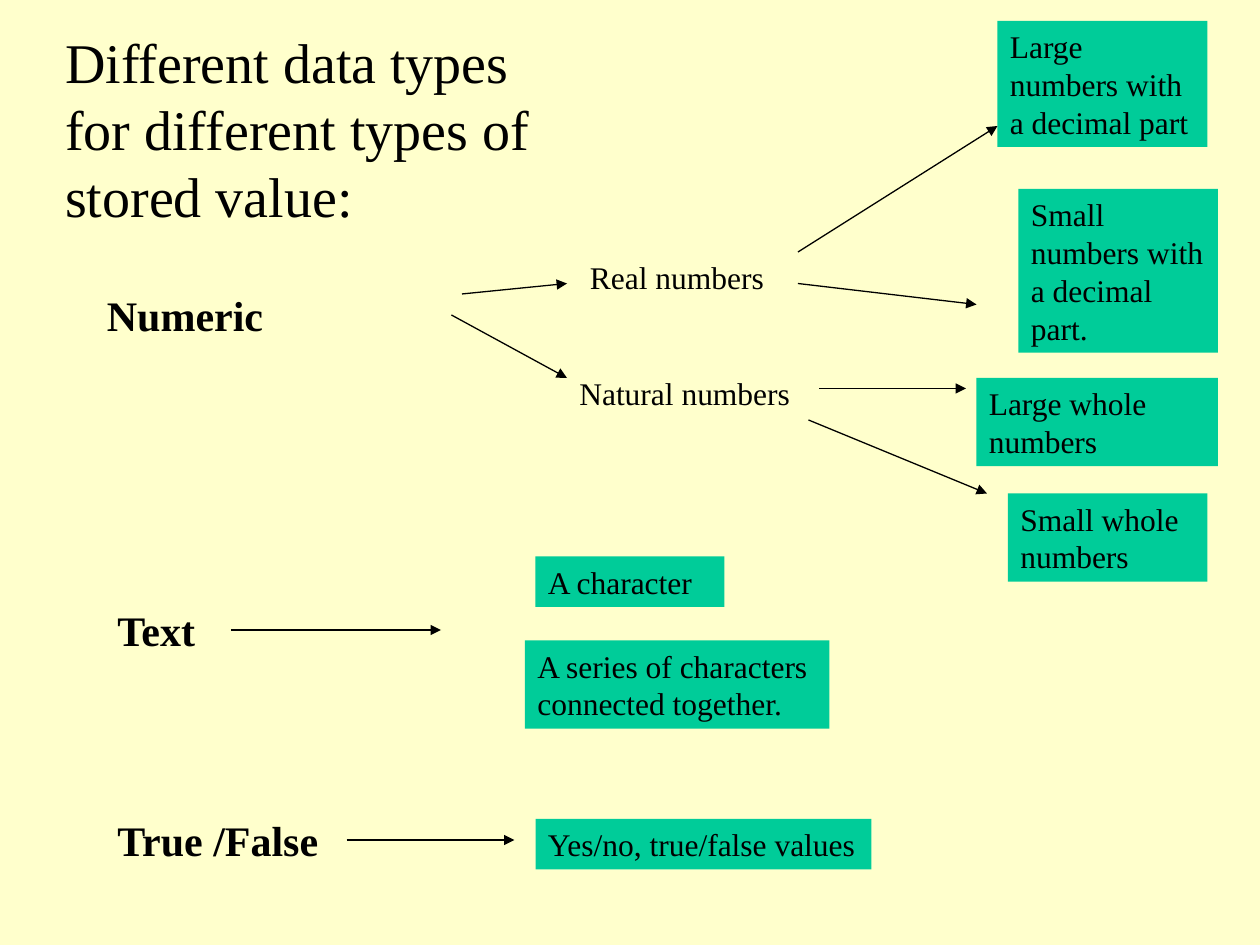
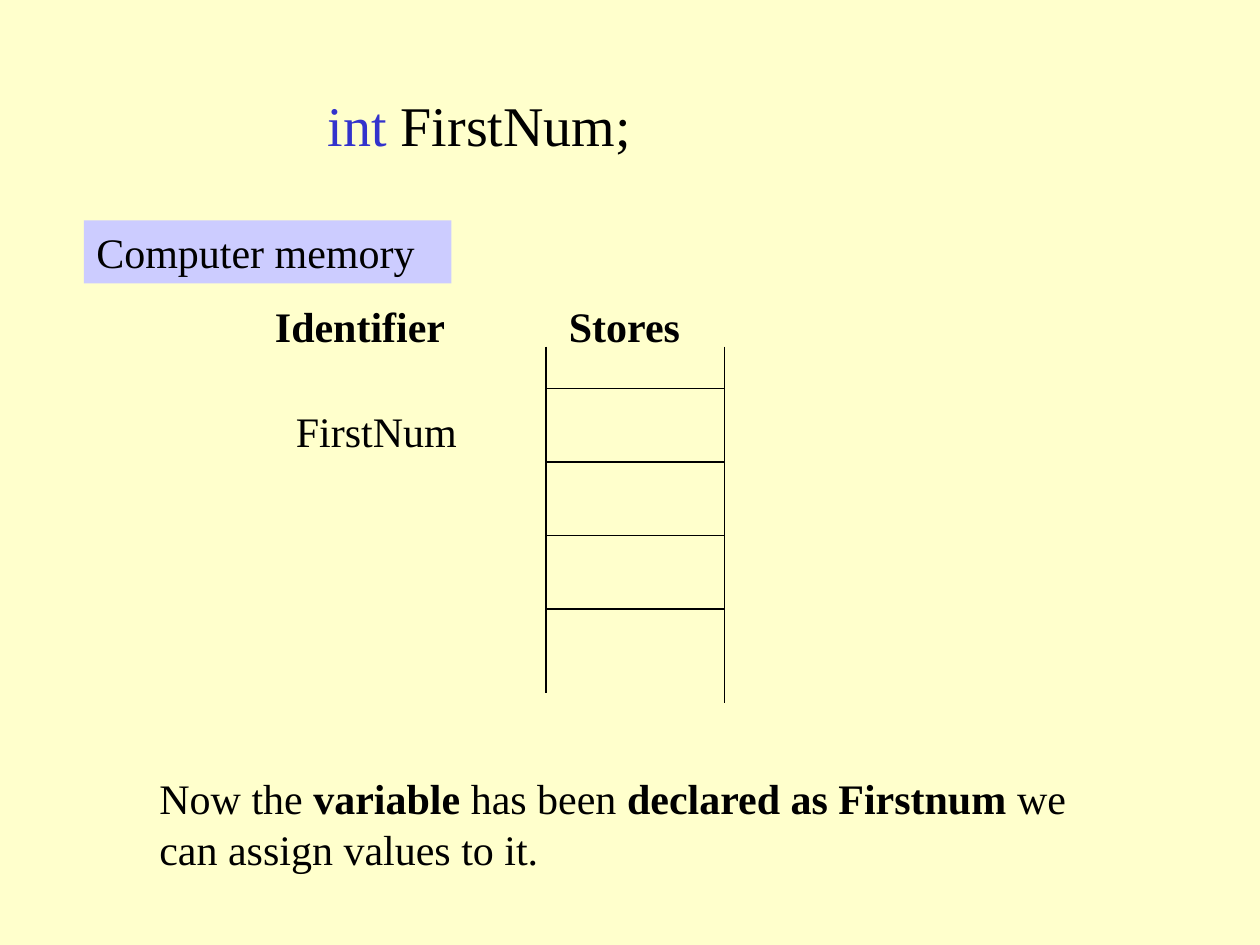
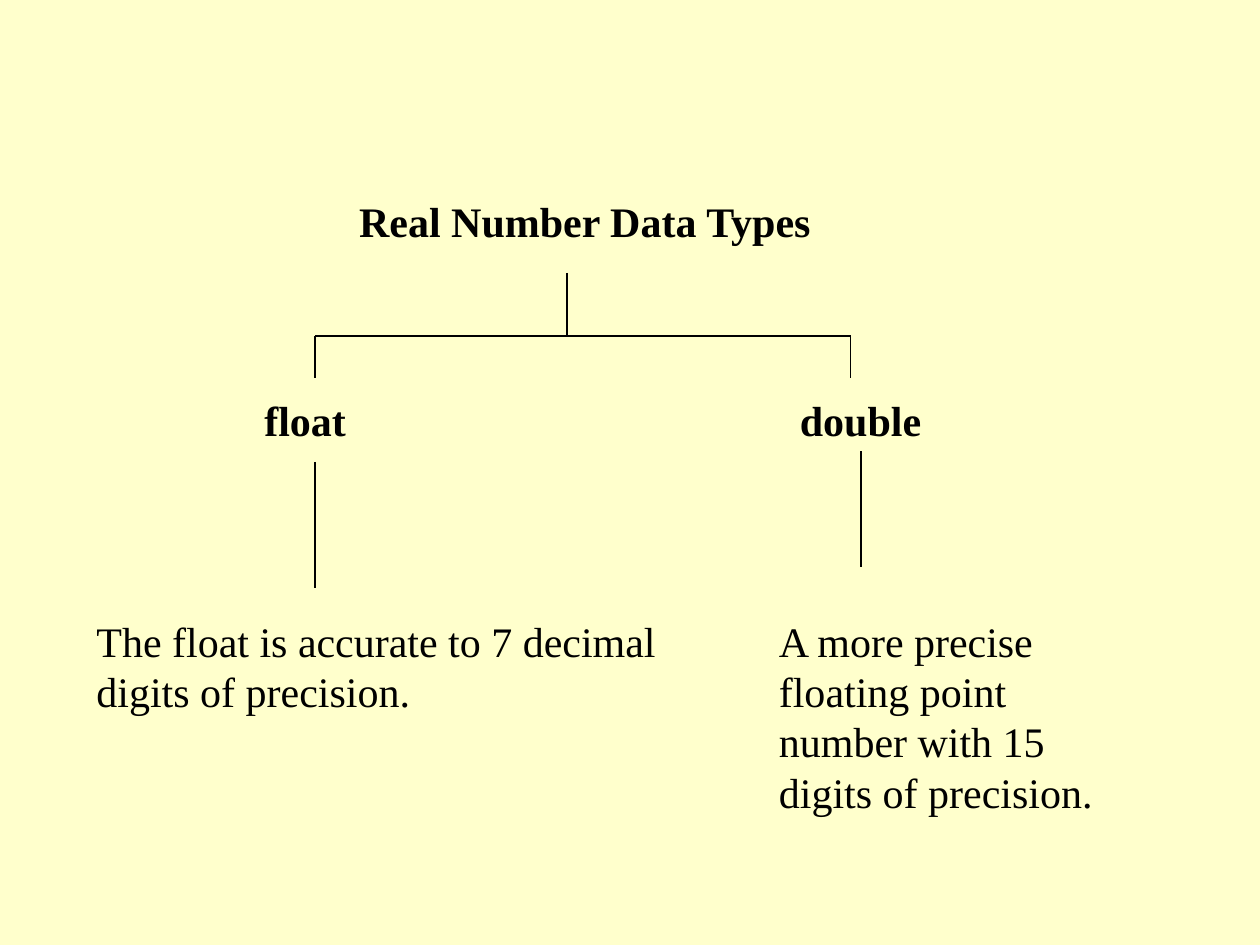
from lxml import etree
from pptx import Presentation
from pptx.dml.color import RGBColor
from pptx.enum.shapes import MSO_CONNECTOR, MSO_SHAPE
from pptx.enum.text import MSO_ANCHOR, MSO_AUTO_SIZE, PP_ALIGN
from pptx.oxml.ns import qn
from pptx.util import Emu, Pt

STRAIGHT = MSO_CONNECTOR.STRAIGHT
RECTANGLE = MSO_SHAPE.RECTANGLE
LEFT = PP_ALIGN.LEFT
TOP = MSO_ANCHOR.TOP
GROW = MSO_AUTO_SIZE.SHAPE_TO_FIT_TEXT

EMU_PER_PX = 7620  # 120 px to the inch
SLIDE_W, SLIDE_H = 1200, 900
TITLE_ONLY = 5

FONT = "Times New Roman"
TITLE_SIZE, BODY_SIZE, SMALL_SIZE = 32, 24, 18
CREAM, BLACK, GREEN = "FFFFCC", "000000", "00CC99"
LILAC, KEYWORD_BLUE = "CCCCFF", "3333CC"


def px(n):
    return Emu(n * EMU_PER_PX)


def rgb(hex_code):
    return RGBColor.from_string(hex_code)


def text_height(lines, size):
    """Height in px of a box for that many lines, with its insets."""
    return lines * size * 2 + 12


def put_text(shape, content, size, bold=False):
    """Write a string, or a list of (text, bold, colour) parts."""
    parts = [(content, bold, BLACK)] if isinstance(content, str) else content
    tf = shape.text_frame
    tf.word_wrap = True
    tf.auto_size = GROW
    tf.vertical_anchor = TOP
    p = tf.paragraphs[0]
    p.alignment = LEFT
    for text, is_bold, color in parts:
        r = p.add_run()
        r.text = text
        r.font.name = FONT
        r.font.size = Pt(size)
        r.font.bold = is_bold
        r.font.color.rgb = rgb(color)


def add_slide(prs, title, x, y, w, lines=1, size=TITLE_SIZE, bold=False):
    s = prs.slides.add_slide(prs.slide_layouts[TITLE_ONLY])
    sp = s.shapes.title
    sp.left, sp.top, sp.width = px(x), px(y), px(w)
    sp.height = px(text_height(lines, size))
    put_text(sp, title, size, bold)
    return s


def add_label(s, content, x, y, w, lines=1, size=BODY_SIZE, bold=False):
    sp = s.shapes.add_textbox(px(x), px(y), px(w), px(text_height(lines, size)))
    put_text(sp, content, size, bold)


def add_box(s, text, x, y, w, lines=1, size=SMALL_SIZE, fill=GREEN):
    sp = s.shapes.add_shape(RECTANGLE, px(x), px(y), px(w),
                            px(text_height(lines, size)))
    sp.shadow.inherit = False
    sp.fill.solid()
    sp.fill.fore_color.rgb = rgb(fill)
    sp.line.fill.background()
    put_text(sp, text, size)


def add_line(s, x1, y1, x2, y2, arrow=False):
    line = s.shapes.add_connector(STRAIGHT, px(x1), px(y1), px(x2), px(y2))
    line.line.color.rgb = rgb(BLACK)
    line.line.width = Pt(0.75)
    sp_pr = line._element.spPr
    etree.SubElement(sp_pr, qn("a:effectLst"))
    if arrow:
        tail = etree.SubElement(sp_pr.find(qn("a:ln")), qn("a:tailEnd"))
        tail.set("type", "triangle")


def build_data_types(prs):
    s = add_slide(prs, "Different data types for different types of stored value:",
                  50, 20, 480, lines=3)
    for text, x, y, w in [("Numeric", 90, 270, 190),
                          ("Text", 100, 570, 120),
                          ("True /False", 100, 770, 240)]:
        add_label(s, text, x, y, w, bold=True)
    add_label(s, "Real numbers", 550, 240, 390, size=SMALL_SIZE)
    add_label(s, "Natural numbers", 540, 350, 290, size=SMALL_SIZE)

    for text, x, y, w, lines in [
        ("Large numbers with a decimal part", 950, 20, 200, 3),
        ("Small numbers with a decimal part.", 970, 180, 190, 4),
        ("Large whole numbers", 930, 360, 230, 2),
        ("Small whole numbers", 960, 470, 190, 2),
        ("A character", 510, 530, 180, 1),
        ("A series of characters connected together.", 500, 610, 290, 2),
        ("Yes/no, true/false values", 510, 780, 320, 1),
    ]:
        add_box(s, text, x, y, w, lines)

    for ends in [
        (440, 280, 540, 270), (430, 300, 540, 360),  # from Numeric
        (760, 240, 950, 120), (760, 270, 930, 290),  # from Real numbers
        (780, 370, 920, 370), (770, 400, 940, 470),  # from Natural numbers
        (220, 600, 420, 600), (330, 800, 490, 800),  # from Text, True /False
    ]:
        add_line(s, *ends, arrow=True)


def build_declaration(prs):
    s = add_slide(prs, [("int", False, KEYWORD_BLUE), (" FirstNum;", False, BLACK)],
                  300, 80, 610)
    store_left, store_right, first_row, row_h = 520, 690, 370, 70
    add_line(s, store_left, 330, store_left, 660)
    add_line(s, store_right, 330, store_right, 670)
    for row in range(4):
        y = first_row + row * row_h
        add_line(s, store_left, y, store_right, y)

    add_box(s, "Computer memory", 80, 210, 350, size=BODY_SIZE, fill=LILAC)
    add_label(s, "Identifier", 250, 280, 200, bold=True)
    add_label(s, "Stores", 530, 280, 150, bold=True)
    add_label(s, "FirstNum", 270, 380, 190)
    add_label(s, [("Now the ", False, BLACK),
                  ("variable", True, BLACK),
                  (" has been ", False, BLACK),
                  ("declared as Firstnum", True, BLACK),
                  (" we can assign values to it.", False, BLACK)],
              140, 730, 940, lines=2)


def build_real_types(prs):
    s = add_slide(prs, "Real Number Data Types", 330, 180, 490,
                  size=BODY_SIZE, bold=True)
    add_label(s, "float", 240, 370, 170, bold=True)
    add_label(s, "double", 750, 370, 230, bold=True)
    add_label(s, "The float is accurate to 7 decimal digits of precision.",
              80, 580, 560, lines=2)
    add_label(s, "A more precise floating point number with 15 digits of precision.",
              730, 580, 370, lines=4)

    float_x, double_x, branch_y = 300, 810, 320
    add_line(s, 540, 260, 540, branch_y)
    add_line(s, float_x, branch_y, double_x, branch_y)
    for x in (float_x, double_x):
        add_line(s, x, branch_y, x, 360)
    add_line(s, float_x, 440, float_x, 560)
    add_line(s, 820, 430, 820, 540)


def main():
    prs = Presentation()
    prs.slide_width, prs.slide_height = px(SLIDE_W), px(SLIDE_H)
    background = prs.slide_master.background.fill
    background.solid()
    background.fore_color.rgb = rgb(CREAM)
    build_data_types(prs)
    build_declaration(prs)
    build_real_types(prs)
    prs.save("out.pptx")


if __name__ == "__main__":
    main()
